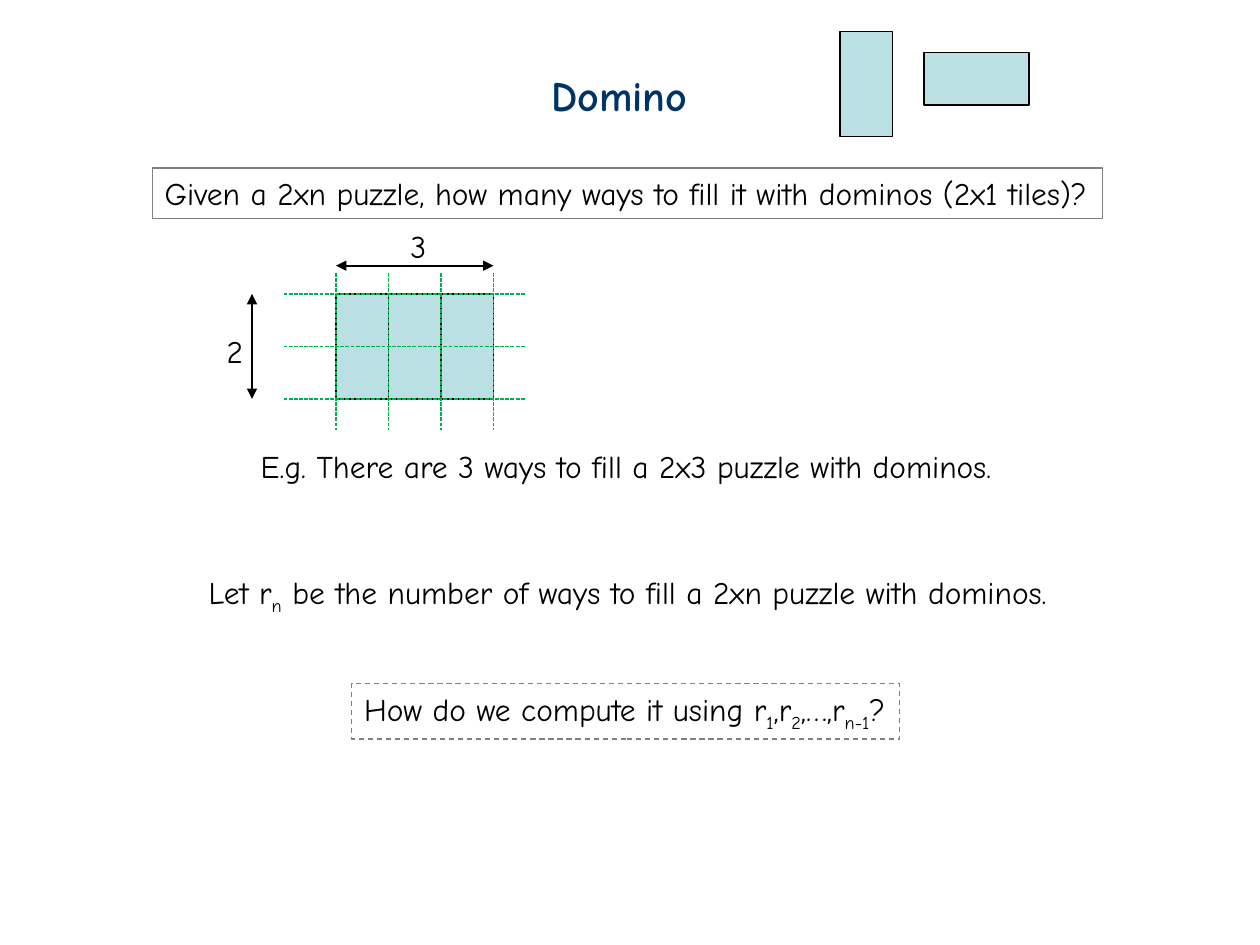
"""Build the domino tiling slide on a grid of 24 columns by 18 rows."""
from pptx import Presentation
from pptx import util as u
from pptx.dml.color import RGBColor
from pptx.enum import dml, shapes, text
from pptx.oxml.ns import qn
from lxml import etree

COLORS = {"title": "003366", "ink": "000000", "tile": "BBE0E3",
          "frame": "808080", "guide": "00B050"}
CELL = 10 / 24
LEFT, TOP, COLS, ROWS = 6.4, 5.6, 3, 2


def rgb(name):
    return RGBColor.from_string(COLORS[name])


def grid(*cells):
    return [u.Inches(c * CELL) for c in cells]


def style_line(line, color, width, dash=None):
    line.color.rgb = rgb(color)
    line.width = u.Pt(width)
    if dash:
        line.dash_style = dash


def write(sp, content, size=18, color="ink", bold=False, align=text.PP_ALIGN.LEFT):
    """Write text in a shape; parts between bars are subscripts."""
    tf = sp.text_frame
    tf.word_wrap = False
    tf.auto_size = text.MSO_AUTO_SIZE.SHAPE_TO_FIT_TEXT
    tf.vertical_anchor = text.MSO_ANCHOR.TOP
    p = tf.paragraphs[0]
    p.alignment = align
    for i, part in enumerate(content.split("|")):
        r = p.add_run()
        r.text = part
        r.font.name, r.font.size, r.font.bold = "Comic Neue", u.Pt(size), bold
        r.font.color.rgb = rgb(color)
        if i % 2:
            r._r.get_or_add_rPr().set("baseline", "-25000")


def add_title(s, content, box):
    sp = s.shapes.title
    sp.left, sp.top, sp.width, sp.height = grid(*box)
    write(sp, content, size=24, color="title", bold=True, align=text.PP_ALIGN.CENTER)


def add_text(s, content, box):
    write(s.shapes.add_textbox(*grid(*box)), content)


def add_rect(s, box, fill=None, line="ink", dash=None):
    sp = s.shapes.add_shape(shapes.MSO_SHAPE.RECTANGLE, *grid(*box))
    sp.shadow.inherit = False
    if fill:
        sp.fill.solid()
        sp.fill.fore_color.rgb = rgb(fill)
    else:
        sp.fill.background()
    style_line(sp.line, line, 0.75, dash)
    return sp


def add_line(s, ends, color, width, dash=None, arrows=False):
    cx = s.shapes.add_connector(shapes.MSO_CONNECTOR.STRAIGHT, *grid(*ends))
    style_line(cx.line, color, width, dash)
    if arrows:
        for tag in ("a:headEnd", "a:tailEnd"):
            etree.SubElement(cx.line._get_or_add_ln(), qn(tag), type="triangle")
    etree.SubElement(cx._element.spPr, qn("a:effectLst"))


def add_puzzle(s):
    """Draw the tiles, the guide lines and the two dimensions."""
    right, bottom = LEFT + COLS, TOP + ROWS
    dash = dml.MSO_LINE.SQUARE_DOT
    for i in range(COLS):
        add_rect(s, (LEFT + i, TOP, 1, ROWS), fill="tile")
    for i in range(COLS + 1):
        add_line(s, (LEFT + i, TOP - 0.4, LEFT + i, bottom + 0.6), "guide", 0.75, dash)
    for j in range(ROWS + 1):
        add_line(s, (LEFT - 1, TOP + j, right + 0.6, TOP + j), "guide", 0.75, dash)
    add_line(s, (4.8, TOP, 4.8, bottom), "ink", 1, arrows=True)
    add_line(s, (right, 5.06, LEFT, 5.06), "ink", 1, arrows=True)
    add_text(s, str(ROWS), (4.08, 6.2, 0.79, 0.96))
    add_text(s, str(COLS), (7.58, 4.2, 0.77, 0.96))


def main():
    prs = Presentation()
    prs.slide_width, prs.slide_height = grid(24, 18)
    s = prs.slides.add_slide(prs.slide_layouts[5])
    add_title(s, "Domino", (9.8, 1.2, 4, 1.2))
    write(add_rect(s, (2.9, 3.2, 18.1, 0.96), line="frame"),
          "Given a 2xn puzzle, how many ways to fill it with dominos (2x1 tiles)?")
    add_text(s, "E.g. There are 3 ways to fill a 2x3 puzzle with dominos.",
             (4.73, 8.4, 14.45, 0.96))
    add_text(s, "Let r|n| be the number of ways to fill a 2xn puzzle with dominos.",
             (3.74, 10.8, 16.49, 1.06))
    write(add_rect(s, (6.7, 13.02, 10.44, 1.06), line="frame", dash=dml.MSO_LINE.DASH),
          "How do we compute it using r|1|,r|2|,…,r|n-1|?")
    add_rect(s, (16, 0.6, 1, 2), fill="tile")
    add_rect(s, (17.6, 1, 2, 1), fill="tile")
    add_puzzle(s)
    prs.save("out.pptx")


if __name__ == "__main__":
    main()
